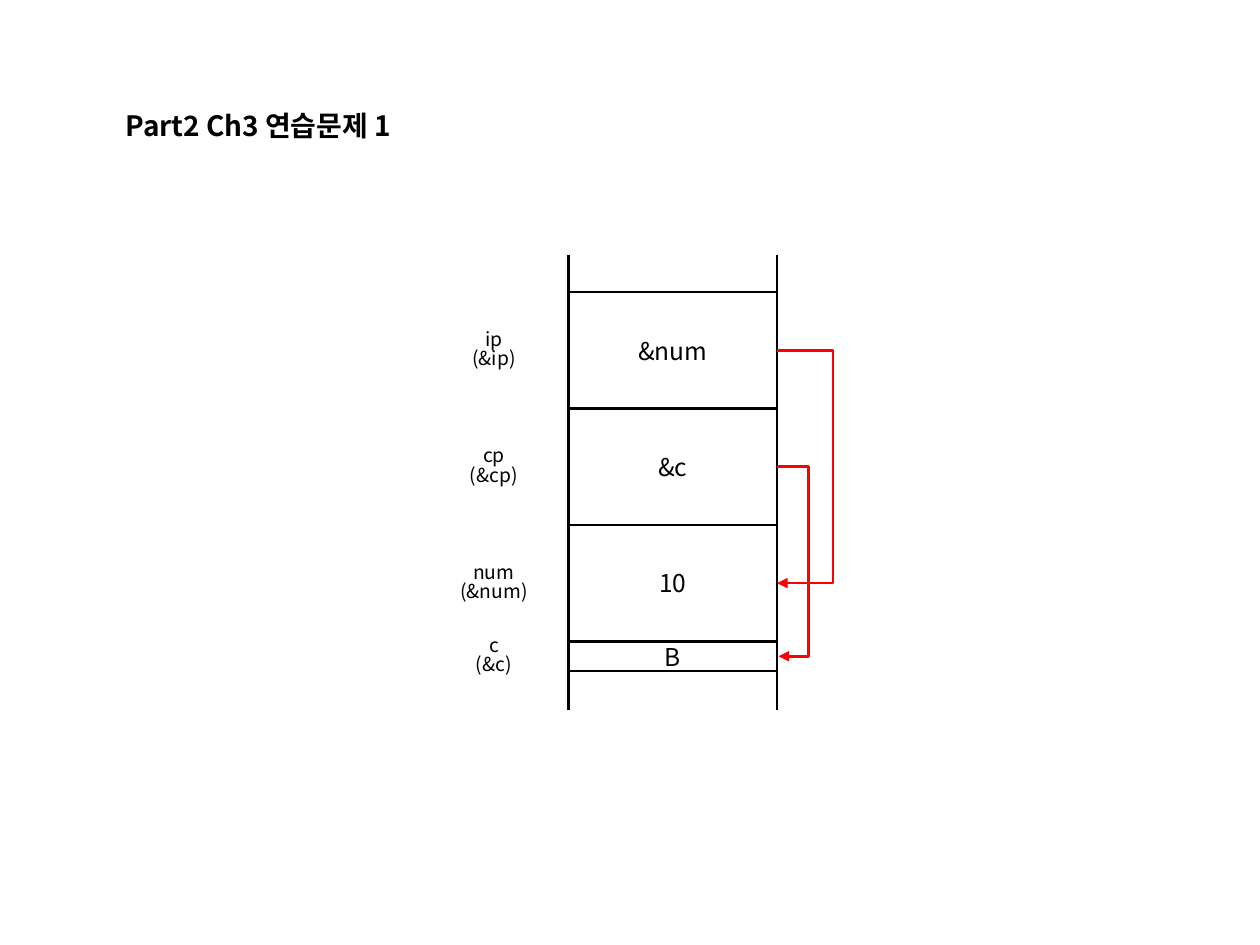
from lxml import etree
from pptx import Presentation
from pptx import util as u
from pptx.dml.color import RGBColor
from pptx.enum import shapes, text
from pptx.oxml.ns import qn

COLORS = {"ink": "000000", "pointer": "FF0000"}
FONT = "Noto Sans CJK KR"


class MemoryDiagram:
    """Holds the style and the slide being drawn; lengths are in points."""

    def __init__(self, slide, line_width=1.5):
        self.slide = slide
        self.line_width = line_width

    def set_text(self, shape, lines, size, bold=False, spacing=1.0):
        frame = shape.text_frame
        frame.text = "\n".join(lines)
        frame_format = {"word_wrap": True, "auto_size": text.MSO_AUTO_SIZE.NONE,
                        "vertical_anchor": text.MSO_ANCHOR.MIDDLE}
        for name, value in frame_format.items():
            setattr(frame, name, value)
        font_format = {"name": FONT, "size": u.Pt(size), "bold": bold}
        for paragraph in frame.paragraphs:
            paragraph.alignment = text.PP_ALIGN.CENTER
            paragraph.line_spacing = spacing
            for run in paragraph.runs:
                for name, value in font_format.items():
                    setattr(run.font, name, value)
                run.font.color.rgb = RGBColor.from_string(COLORS["ink"])
                east_asian = etree.SubElement(run.font._element, qn("a:ea"))
                east_asian.set("typeface", FONT)

    def stroke(self, line, color):
        line.color.rgb = RGBColor.from_string(COLORS[color])
        line.width = u.Pt(self.line_width)

    def title(self, words, left, top, width, height):
        heading = self.slide.shapes.title
        place = {"left": left, "top": top, "width": width, "height": height}
        for name, value in place.items():
            setattr(heading, name, u.Pt(value))
        self.set_text(heading, [words], 16, bold=True)

    def cell(self, value, left, top, width, height):
        box = self.slide.shapes.add_shape(
            shapes.MSO_SHAPE.RECTANGLE, *map(u.Pt, (left, top, width, height)))
        box.shadow.inherit = False
        box.fill.background()
        self.stroke(box.line, "ink")
        self.set_text(box, [value], 14)

    def label(self, variable, left, middle, width, height):
        box = self.slide.shapes.add_textbox(
            *map(u.Pt, (left, middle - height / 2, width, height)))
        self.set_text(box, [variable, f"(&{variable})"], 11, spacing=0.83)

    def connector(self, kind, ends, color):
        link = self.slide.shapes.add_connector(kind, *map(u.Pt, ends))
        self.stroke(link.line, color)
        etree.SubElement(link._element.spPr, qn("a:effectLst"))
        return link

    def rail(self, x, top, bottom):
        self.connector(shapes.MSO_CONNECTOR.STRAIGHT, (x, top, x, bottom), "ink")

    def pointer(self, x, start, end, run, reach):
        """Arrow that leaves x, bends at x + reach and comes back to x + run."""
        link = self.connector(shapes.MSO_CONNECTOR.ELBOW,
                              (x, start, x + run, end), "pointer")
        guides = link._element.spPr.find(qn("a:prstGeom")).get_or_add_avLst()
        etree.SubElement(guides, qn("a:gd"), name="adj1",
                         fmla=f"val {round(reach / run * 100000)}")
        line_xml = link._element.spPr.find(qn("a:ln"))
        etree.SubElement(line_xml, qn("a:tailEnd"), type="triangle")


presentation = Presentation()
presentation.slide_width, presentation.slide_height = u.Pt(720), u.Pt(540)
title_only = presentation.slide_layouts[5]
diagram = MemoryDiagram(presentation.slides.add_slide(title_only))

diagram.title("Part2 Ch3 연습문제 1", 54, 43.2, 187.2, 56.9)

# Sides of the memory strip
STRIP_LEFT, STRIP_WIDTH = 325, 119
STRIP_RIGHT = STRIP_LEFT + STRIP_WIDTH
for side in (STRIP_LEFT, STRIP_RIGHT):
    diagram.rail(side, 145.5, 406)

# Variables stacked in memory, with their names on the left
WORD, BYTE = 66.5, 17
variables = [("ip", "&num", WORD), ("cp", "&c", WORD), ("num", "10", WORD), ("c", "B", BYTE)]
middles = {}
top = 167
for variable, value, height in variables:
    middles[variable] = top + height / 2
    diagram.cell(value, STRIP_LEFT, top, STRIP_WIDTH, height)
    diagram.label(variable, 245.5, middles[variable], 73.5, height * 0.78)
    top += height

# Pointers to the variables they address
for source, target, run, reach in [("cp", "c", 1, 18), ("ip", "num", 0.11, 31)]:
    diagram.pointer(STRIP_RIGHT, middles[source], middles[target], run, reach)

presentation.save("out.pptx")
